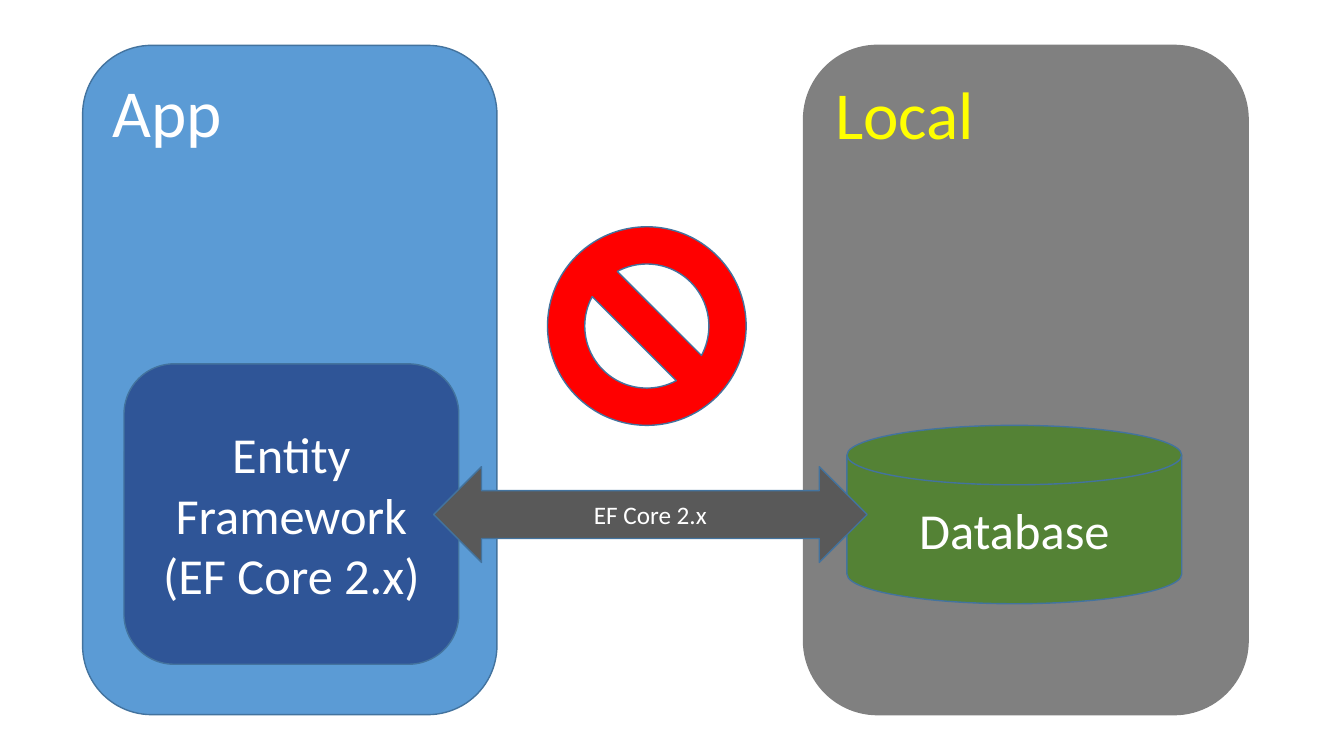
"""Build a slide where an app's link to a local database is barred."""
import pptx
import pptx.dml.color
import pptx.enum.shapes
import pptx.enum.text
import pptx.util

KIND = pptx.enum.shapes.MSO_SHAPE
ALIGN = pptx.enum.text.PP_ALIGN
ANCHOR = pptx.enum.text.MSO_ANCHOR
WIDE, HIGH = pptx.util.Inches(13.33), pptx.util.Inches(7.5)


class Theme:
    font = "Calibri"
    head, body, small = 48, 36, 18
    white, yellow = "FFFFFF", "FFFF00"
    blue, navy, edge = "5B9BD5", "2F5597", "43739E"
    gray, slate = "808080", "595959"
    green, red = "548235", "FF0000"


TOP = {"align": ALIGN.LEFT, "anchor": ANCHOR.TOP}
MID = {"align": ALIGN.CENTER, "anchor": ANCHOR.MIDDLE}


def tint(name):
    return pptx.dml.color.RGBColor.from_string(name)


def assign(item, values):
    for key, value in values.items():
        setattr(item, key, value)


def shape(slide, kind, box, fill, edge=Theme.edge):
    left, top, width, height = box
    item = slide.shapes.add_shape(
        kind,
        round(WIDE * left / 100), round(HIGH * top / 100),
        round(WIDE * width / 100), round(HIGH * height / 100))
    item.shadow.inherit = False
    item.fill.solid()
    item.fill.fore_color.rgb = tint(fill)
    item.line.color.rgb = tint(edge)
    item.line.width = pptx.util.Pt(1)
    return item


def label(item, lines, size, place=MID, color=Theme.white):
    frame = item.text_frame
    assign(frame, {"text": "\n".join(lines), "word_wrap": True,
                   "vertical_anchor": place["anchor"]})
    for line in frame.paragraphs:
        line.alignment = place["align"]
        assign(line.runs[0].font,
               {"name": Theme.font, "size": pptx.util.Pt(size)})
        line.runs[0].font.color.rgb = tint(color)


def panel(slide, left, width, title, fill, edge, color):
    item = shape(slide, KIND.ROUNDED_RECTANGLE,
                 (left, 6, width, 88.53), fill, edge)
    label(item, [title], Theme.head, TOP, color)


def block(slide, kind, box, fill, lines, size=Theme.body):
    label(shape(slide, kind, box, fill), lines, size)


def main():
    deck = pptx.Presentation()
    assign(deck, {"slide_width": WIDE, "slide_height": HIGH})
    slide = deck.slides.add_slide(deck.slide_layouts[6])

    panel(slide, 59.79, 33.08, "Local", Theme.gray, Theme.gray, Theme.yellow)
    block(slide, KIND.FLOWCHART_MAGNETIC_DISK, (63.02, 56.27, 24.91, 23.6),
          Theme.green, ["Database"])
    panel(slide, 6.15, 30.83, "App", Theme.blue, Theme.edge, Theme.white)
    block(slide, KIND.ROUNDED_RECTANGLE, (9.23, 48.13, 24.91, 39.73),
          Theme.navy, ["Entity Framework", "(EF Core 2.x)"])
    shape(slide, KIND.NO_SYMBOL, (40.74, 30, 14.78, 26.27), Theme.red)
    block(slide, KIND.LEFT_RIGHT_ARROW, (32.26, 61.73, 32.26, 12.67),
          Theme.slate, ["EF Core 2.x"], Theme.small)

    deck.save("out.pptx")


if __name__ == "__main__":
    main()
